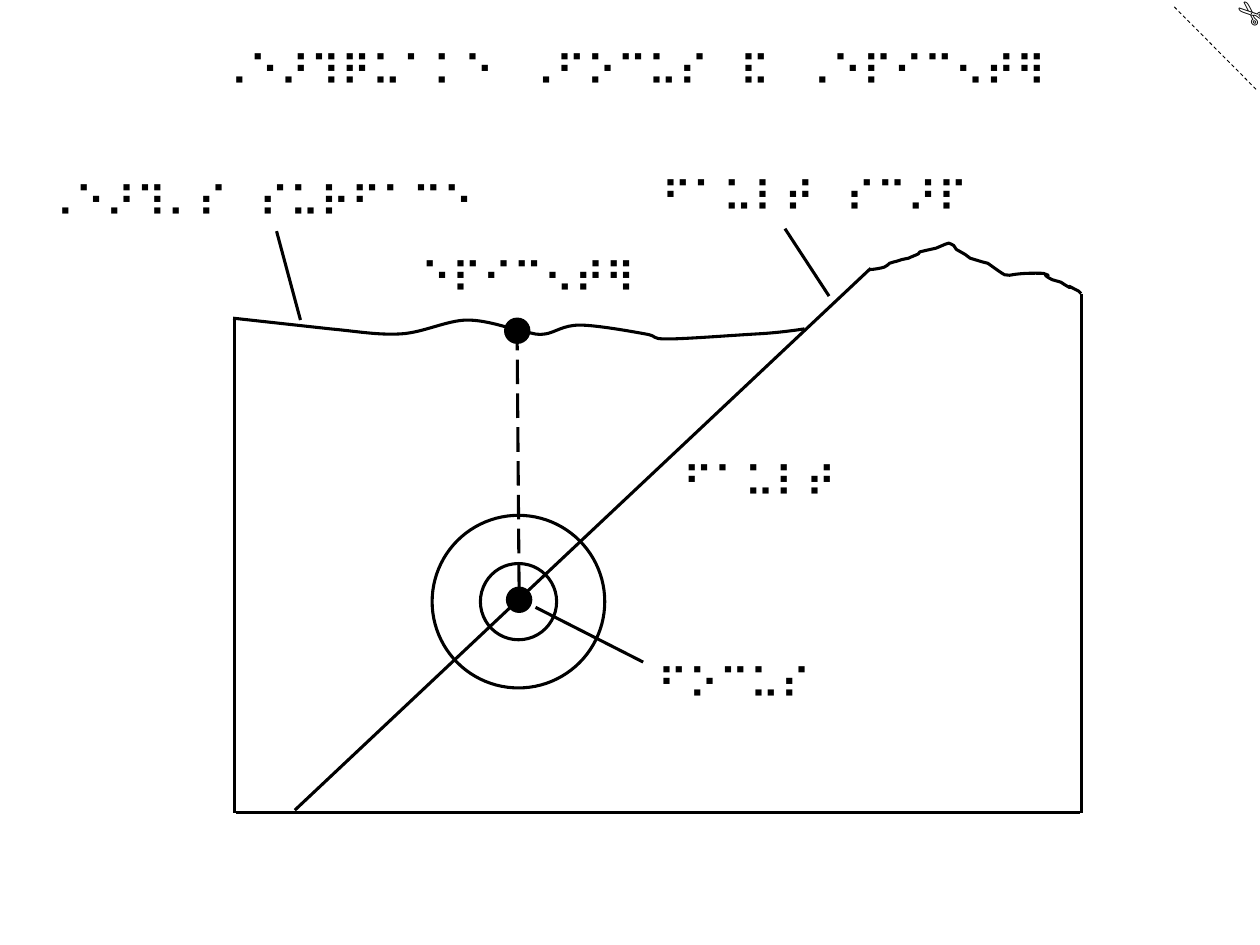
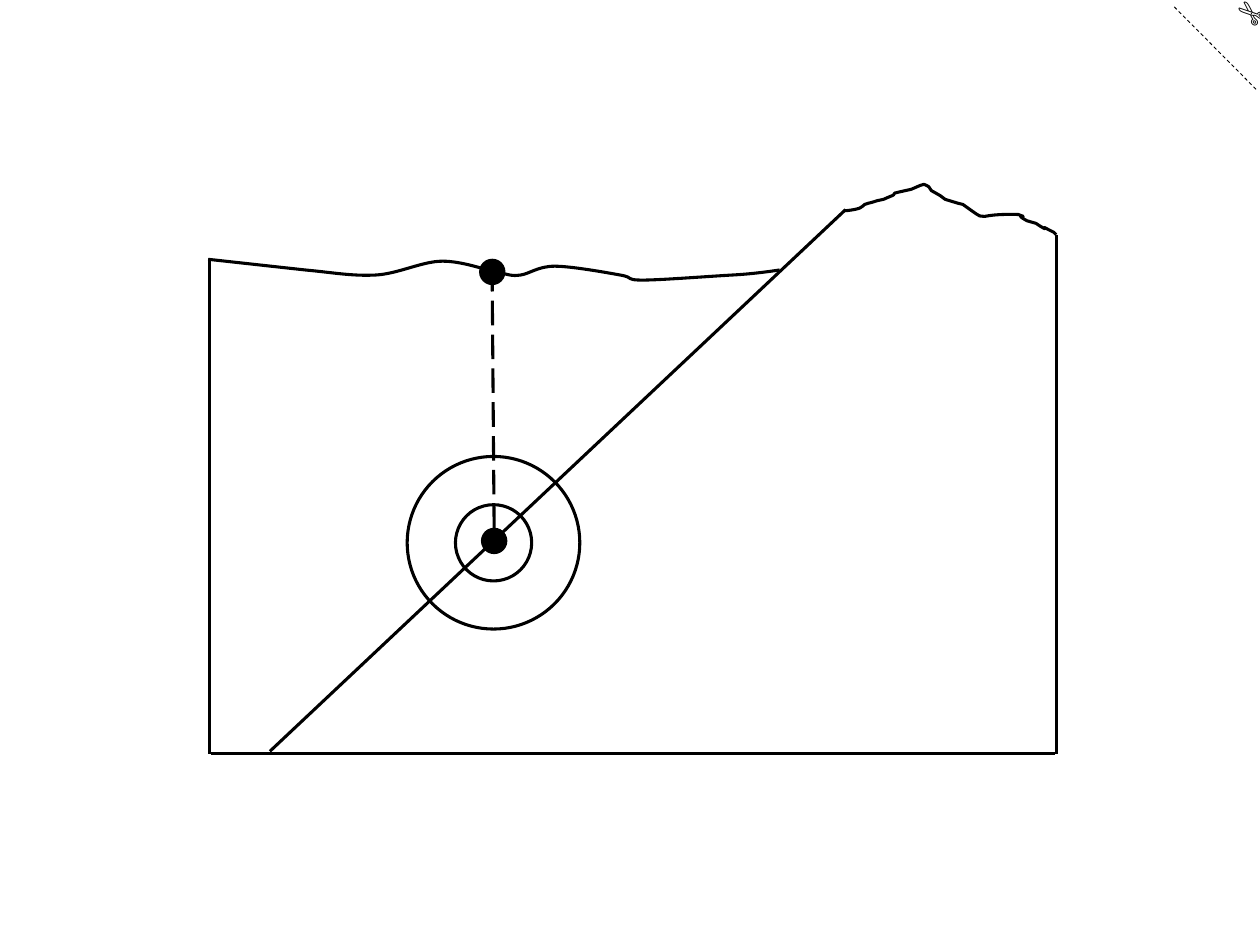
from lxml.etree import SubElement
from pptx import Presentation
from pptx.dml.color import RGBColor
from pptx.enum.dml import MSO_LINE
from pptx.enum.shapes import MSO_CONNECTOR, MSO_SHAPE
from pptx.enum.text import MSO_ANCHOR, MSO_AUTO_SIZE, PP_ALIGN
from pptx.oxml.ns import qn
from pptx.util import Inches, Pt

INK = RGBColor(0, 0, 0)
PAPER = RGBColor(255, 255, 255)
TITLE_ONLY, BLANK = 5, 6
COLUMNS = 100  # square grid cells across the slide; 75 rows fit below them

# Two numbers are a straight step, six are a cubic curve.
GROUND_START = (18.5, 25.25)
GROUND_STEPS = [
    (26.2, 26.1),
    (28.4, 26.3, 29.9, 26.6, 31.8, 26.5),
    (33.6, 26.4, 35.5, 25.4, 37.1, 25.4),
    (38.7, 25.4, 40.5, 26.1, 41.5, 26.3),
    (42.6, 26.5, 42.5, 26.6, 43.3, 26.5),
    (44, 26.4, 44.7, 25.8, 46, 25.8),
    (47.3, 25.8, 50.1, 26.3, 51.2, 26.5),
    (52.4, 26.7, 51.5, 26.9, 53, 26.9),
    (54.4, 26.9, 58.3, 26.6, 60.1, 26.5),
    (62, 26.4, 63.85, 26.1, 63.85, 26.1),
]
RIDGE_START = (69, 21.4)
RIDGE_STEPS = [
    (69.3, 21.4, 69.9, 21.3, 70.2, 21.2),
    (70.4, 21.1, 70.5, 21, 70.6, 20.9),
    (70.8, 20.8, 71, 20.8, 71.3, 20.7),
    (71.6, 20.6), (72.1, 20.5),
    (72.3, 20.4, 72.8, 20.2, 72.8, 20.2),
    (72.9, 20.2, 72.9, 20.1, 73, 20),
    (73.4, 19.9), (74.3, 19.7), (75, 19.4), (75.3, 19.3),
    (75.5, 19.4, 75.6, 19.4, 75.7, 19.5),
    (75.8, 19.6, 75.8, 19.7, 75.9, 19.8),
    (76.6, 20.2), (77, 20.5), (78, 20.8), (78.4, 20.9), (79.1, 21.4),
    (80.4, 22.3, 79.3, 21.6, 82.8, 21.7),
    (83.9, 22.1, 82.2, 21.5, 83.5, 22.2),
    (83.7, 22.3, 84, 22.3, 84.2, 22.4),
    (84.5, 22.6),
    (85.5, 23.2, 84.3, 22.4, 85.2, 22.9),
    (85.6, 23.1), (85.8, 23.3),
]
FAULT_AND_FRAME = [
    ((23.4, 64.3), (69.1, 21.3)),
    ((18.6, 25.3), (18.6, 64.5)),
    ((85.7, 64.5), (18.75, 64.5)),
    ((85.85, 23.3), (85.85, 64.5)),
]
FOCUS_CENTRE = (41.15, 47.75)
RING_DIAMETERS = (6.05, 13.7)
DOT_DIAMETER = 2.1
DOT_CORNERS = [(40, 25.2), (40.15, 46.55)]

TITLE = "⠠⠑⠜⠹⠟⠥⠁⠅⠑⠀⠠⠋⠕⠉⠥⠎⠀⠯⠀⠠⠑⠏⠊⠉⠢⠞⠻"
LABELS = [  # text, left, top, width
    ("⠠⠑⠜⠹⠄⠎⠀⠎⠥⠗⠋⠁⠉⠑", 2.5, 13.45, 37.3),
    ("⠋⠁⠥⠇⠞⠀⠎⠉⠜⠏", 51.5, 13.05, 27.1),
    ("⠑⠏⠊⠉⠢⠞⠻", 32.4, 19.5, 19.8),
    ("⠋⠁⠥⠇⠞", 53.2, 35.65, 14.7),
    ("⠋⠕⠉⠥⠎", 51.2, 51.7, 14.7),
]
LABEL_HEIGHT = 5
LEADERS = [
    ((21.95, 18.35), (23.85, 25.4)),
    ((62.3, 18.15), (65.8, 23.5)),
    ((42.5, 48.2), (51.05, 52.55)),
]


def write(shape, text, size=24, font="Arial", align=PP_ALIGN.LEFT, wrap=False):
    frame = shape.text_frame
    frame.word_wrap = wrap
    frame.auto_size = MSO_AUTO_SIZE.SHAPE_TO_FIT_TEXT
    frame.vertical_anchor = MSO_ANCHOR.TOP
    para = frame.paragraphs[0]
    para.alignment = align
    span = para.add_run()
    span.text = text
    span.font.size = Pt(size)
    span.font.name = font
    span.font.color.rgb = INK


def bend(shape, steps):
    """Turn each three straight segments that stand for a curve into one."""
    segments = iter(shape._element.findall(".//" + qn("a:lnTo")))
    for step in steps:
        first = next(segments)
        if len(step) == 6:
            curve = first.makeelement(qn("a:cubicBezTo"))
            first.addprevious(curve)
            for segment in (first, next(segments), next(segments)):
                curve.append(segment[0])
                segment.getparent().remove(segment)


class Diagram:
    """Draws on the current slide, in grid cells moved by an offset."""

    def __init__(self, deck):
        self.deck = deck
        self.cell = deck.slide_width / COLUMNS
        self.slide = None
        self.offset = (0, 0)

    def new_slide(self, layout):
        self.slide = self.deck.slides.add_slide(self.deck.slide_layouts[layout])
        self.slide.background.fill.solid()
        self.slide.background.fill.fore_color.rgb = PAPER
        self.offset = (0, 0)
        self.line((93.2, 0.55), (99.8, 7.2), width=0.5, dash=MSO_LINE.DASH)
        scissors = self.text("✄", 97.1, -0.9, 4.2, 4, size=18, font="Calibri", wrap=True)
        scissors.rotation = 220.5

    def length(self, cells):
        return round(cells * self.cell)

    def place(self, point):
        return [self.length(value + move) for value, move in zip(point, self.offset)]

    def pen(self, line, width=1.75):
        line.color.rgb = INK
        line.width = Pt(width)

    def title(self, text, left, top, width, height):
        shape = self.slide.shapes.title
        shape.left, shape.top = self.place((left, top))
        shape.width, shape.height = self.length(width), self.length(height)
        write(shape, text, align=PP_ALIGN.CENTER, wrap=True)

    def text(self, text, left, top, width, height, **style):
        box = self.slide.shapes.add_textbox(
            *self.place((left, top)), self.length(width), self.length(height))
        write(box, text, **style)
        return box

    def line(self, start, end, width=1.75, dash=None):
        connector = self.slide.shapes.add_connector(
            MSO_CONNECTOR.STRAIGHT, *self.place(start), *self.place(end))
        self.pen(connector.line, width)
        if dash:
            connector.line.dash_style = dash
        SubElement(connector._element.spPr, qn("a:effectLst"))

    def outline(self, start, steps):
        points = [self.place(step[index:index + 2])
                  for step in steps for index in range(0, len(step), 2)]
        builder = self.slide.shapes.build_freeform(*self.place(start))
        builder.add_line_segments(points, close=False)
        shape = builder.convert_to_shape()
        bend(shape, steps)
        shape.shadow.inherit = False
        shape.fill.background()
        self.pen(shape.line)

    def circle(self, corner, diameter, filled=False):
        size = self.length(diameter)
        shape = self.slide.shapes.add_shape(
            MSO_SHAPE.OVAL, *self.place(corner), size, size)
        shape.shadow.inherit = False
        if filled:
            shape.fill.solid()
            shape.fill.fore_color.rgb = INK
            shape.line.fill.background()
        else:
            shape.fill.background()
            self.pen(shape.line)

    def earthquake(self, offset=(0, 0)):
        self.offset = offset
        self.outline(GROUND_START, GROUND_STEPS)
        for start, end in FAULT_AND_FRAME:
            self.line(start, end)
        self.outline(RIDGE_START, RIDGE_STEPS)
        for corner in DOT_CORNERS:
            self.circle(corner, DOT_DIAMETER, filled=True)
        self.line((41.2, 46.6), (41.05, 27.3), dash=MSO_LINE.LONG_DASH)
        for diameter in RING_DIAMETERS:
            corner = [centre - diameter / 2 for centre in FOCUS_CENTRE]
            self.circle(corner, diameter)


def main():
    deck = Presentation()
    deck.slide_width, deck.slide_height = Inches(10), Inches(7.5)
    diagram = Diagram(deck)

    diagram.new_slide(TITLE_ONLY)
    diagram.title(TITLE, 13.8, 3, 72.7, LABEL_HEIGHT)
    diagram.earthquake()
    for text, left, top, width in LABELS:
        diagram.text(text, left, top, width, LABEL_HEIGHT)
    for start, end in LEADERS:
        diagram.line(start, end)

    diagram.new_slide(BLANK)
    diagram.earthquake(offset=(-1.98, -4.67))

    deck.save("out.pptx")


if __name__ == "__main__":
    main()
